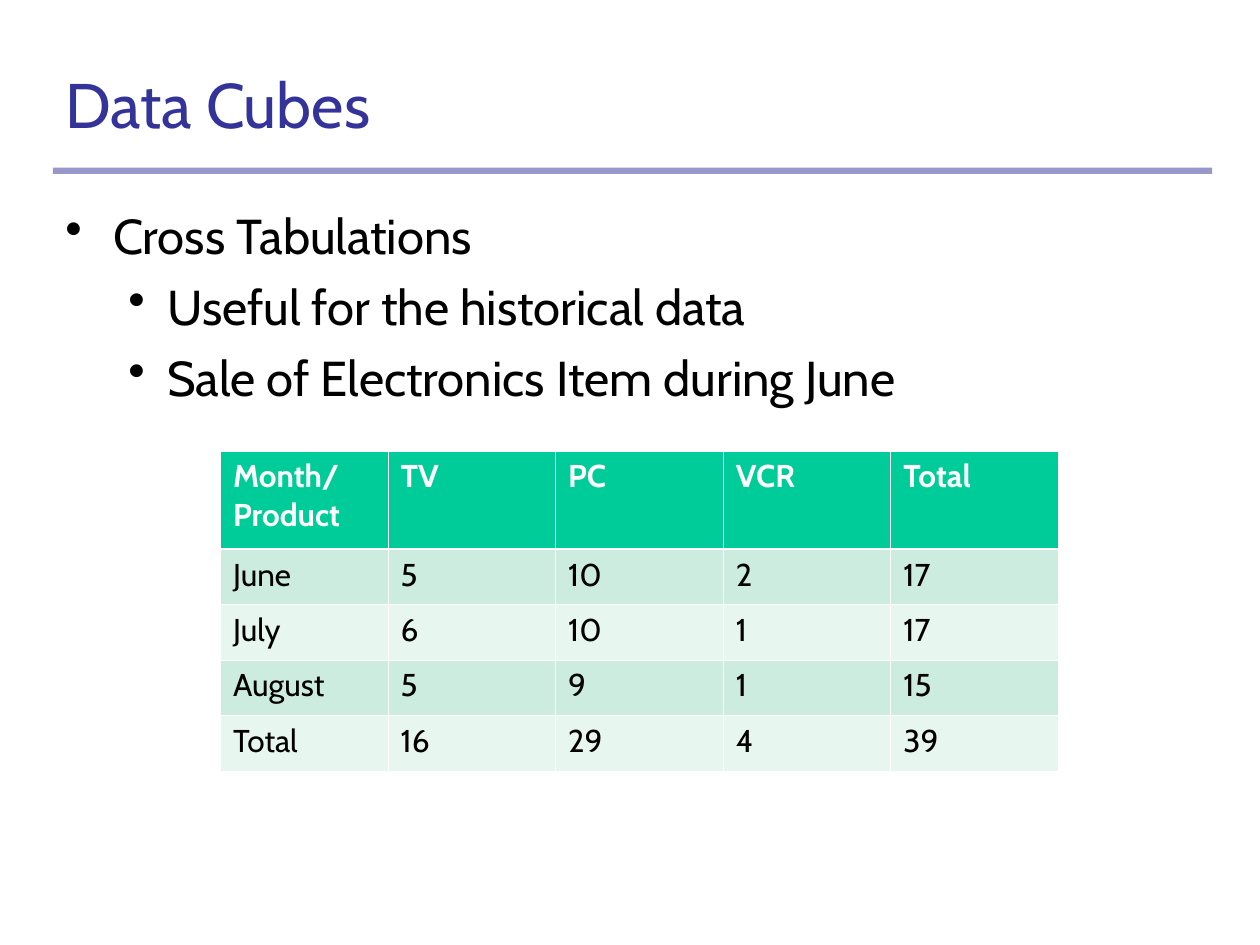
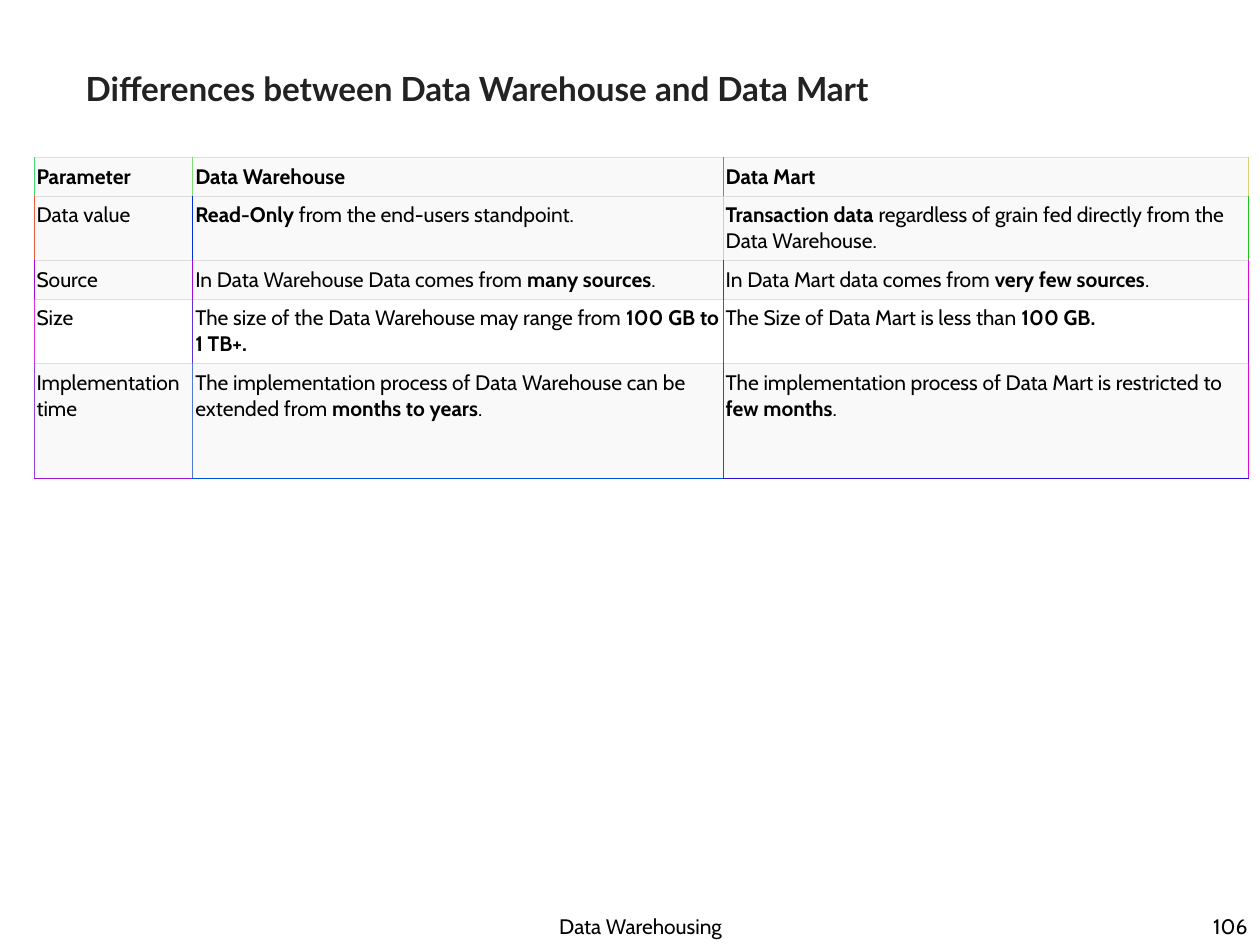
from lxml.etree import SubElement
from pptx import Presentation
from pptx.dml.color import RGBColor
from pptx.enum.shapes import MSO_SHAPE
from pptx.enum.text import MSO_ANCHOR, MSO_AUTO_SIZE, PP_ALIGN
from pptx.oxml.ns import qn
from pptx.util import Inches, Pt

BLACK, WHITE, NAVY = "000000", "FFFFFF", "333399"
GREEN, MINT, PALE_MINT = "00CC99", "CBECDE", "E7F6EF"
GREY, PALE_GREY, CHARCOAL = "DDDDDD", "F9F9F9", "222222"
THIN, THINNER, THICK = 0.45, 0.34, 1.47

SALES = [
    ["Month/Product", "TV", "PC", "VCR", "Total"],
    ["June", "5", "10", "2", "17"],
    ["July", "6", "10", "1", "17"],
    ["August", "5", "9", "1", "15"],
    ["Total", "16", "29", "4", "39"],
]

# Double asterisks enclose bold words.
DIFFERENCES = [
    ["**Parameter**", "**Data Warehouse**", "**Data Mart**"],
    ["Data value", "**Read-Only** from the end-users standpoint.",
     "**Transaction data **regardless of grain fed directly from the Data Warehouse."],
    ["Source", "In Data Warehouse Data comes from **many sources**.",
     "In Data Mart data comes from **very few sources**."],
    ["Size", "The size of the Data Warehouse may range from **100 GB to 1 TB+.**",
     "The Size of Data Mart is less than **100 GB.**"],
    ["Implementation time",
     "The implementation process of Data Warehouse can be extended from **months to years**.",
     "The implementation process of Data Mart is restricted to **few months**."],
]
# Colours of the vertical rules, left to right, for each row.
VERTICAL_RULES = [
    ["40D976", "80DC76", "A06EB7", "E0CD76"],
    ["F05C38", "002FD9", "E0CC9F", "20C41A"],
    ["A008D9", "A00BD9", "6024D8", "E009D9"],
    ["E02ED8", "6031D8", "8035D8", "A00BD9"],
    ["A03ED8", "5077D4", "A00BD9", "E009D9"],
]
BOTTOM_RULES = ["A015D9", "004FD8", "200ED9"]


def color(value):
    return RGBColor.from_string(value)


def apply(target, values):
    for name, value in values.items():
        setattr(target, name, value)


def add_solid_fill(parent, value):
    fill = SubElement(parent, qn("a:solidFill"))
    SubElement(fill, qn("a:srgbClr"), val=value)


class DeckBuilder:
    font = "Cabin"

    def __init__(self):
        self.deck = Presentation()
        apply(self.deck, {"slide_width": Inches(10), "slide_height": Inches(7.5)})
        self.layout = self.deck.slide_layouts.get_by_name("Title Only")
        self.page = None

    def add_page(self):
        self.page = self.deck.slides.add_slide(self.layout)

    def add_shared_band(self):
        """Place the half-transparent band on the layout that all pages use."""
        band = self.page.shapes.add_shape(
            MSO_SHAPE.RECTANGLE, *map(Inches, (0.42, 1.33, 9.2, 0.05)))
        band.shadow.inherit = False
        band.fill.solid()
        band.fill.fore_color.rgb = color(NAVY)
        band.line.fill.background()
        shade = band.element.spPr.find(".//" + qn("a:srgbClr"))
        SubElement(shade, qn("a:alpha"), val="50000")
        band.element.nvSpPr.cNvPr.set("id", "20")
        self.layout.shapes.element.append(band.element)

    def add_text(self, paragraph, text, size, ink=BLACK, bold=False, font=None):
        """Add spans to the paragraph, bold between double asterisks."""
        for index, part in enumerate(text.split("**")):
            if part:
                span = paragraph.add_run()
                span.text = part
                apply(span.font, {"name": font or self.font, "size": Pt(size),
                                  "bold": bold or index % 2 == 1})
                span.font.color.rgb = color(ink)

    def set_frame(self, frame, anchor):
        apply(frame, {"word_wrap": True, "auto_size": MSO_AUTO_SIZE.NONE,
                      "vertical_anchor": anchor,
                      "margin_left": Inches(0.1), "margin_right": Inches(0.1),
                      "margin_top": Inches(0.05), "margin_bottom": Inches(0.05)})

    def add_title(self, text, place, size, ink, anchor=MSO_ANCHOR.BOTTOM, fill=None, **style):
        title = self.page.shapes.title
        apply(title, dict(zip(("left", "top", "width", "height"), map(Inches, place))))
        self.set_frame(title.text_frame, anchor)
        paragraph = title.text_frame.paragraphs[0]
        paragraph.alignment = PP_ALIGN.LEFT
        self.add_text(paragraph, text, size, ink, **style)
        if fill:
            title.fill.solid()
            title.fill.fore_color.rgb = color(fill)

    def add_box(self, place, anchor):
        box = self.page.shapes.add_textbox(*map(Inches, place))
        self.set_frame(box.text_frame, anchor)
        return box.text_frame

    def add_footer(self, text, place, alignment):
        paragraph = self.add_box(place, MSO_ANCHOR.BOTTOM).paragraphs[0]
        paragraph.alignment = alignment
        self.add_text(paragraph, text, 12)

    def add_bullets(self, items, place):
        frame = self.add_box(place, MSO_ANCHOR.TOP)
        for index, (level, text) in enumerate(items):
            para = frame.add_paragraph() if index else frame.paragraphs[0]
            apply(para, {"level": level, "space_before": Pt(7 if index else 0)})
            margin, hanging = [(0.38, 0.38), (0.81, 0.31)][level]
            properties = para._p.get_or_add_pPr()
            properties.set("marL", str(Inches(margin)))
            properties.set("indent", str(-Inches(hanging)))
            bullet_color = SubElement(properties, qn("a:buClr"))
            SubElement(bullet_color, qn("a:srgbClr"), val=BLACK)
            SubElement(properties, qn("a:buChar"), char="•")
            self.add_text(para, text, 28)

    def add_table(self, rows, corner, widths, heights, look):
        """Draw a table; look(row, column) gives fill, borders, margin, spacing, text style."""
        place = (*corner, sum(widths), sum(heights))
        table = self.page.shapes.add_table(
            len(rows), len(widths), *map(Inches, place)).table
        for column, width in zip(table.columns, widths):
            column.width = Inches(width)
        for row, height in zip(table.rows, heights):
            row.height = Inches(height)
        for r, texts in enumerate(rows):
            for c, text in enumerate(texts):
                fill, borders, margin, spacing, style = look(r, c)
                cell = table.cell(r, c)
                apply(cell, {"margin_left": Inches(margin), "margin_right": Inches(margin),
                             "margin_top": Inches(0.05), "margin_bottom": Inches(0.05)})
                self.add_borders(cell, borders)
                cell.fill.solid()
                cell.fill.fore_color.rgb = color(fill)
                paragraph = cell.text_frame.paragraphs[0]
                paragraph.line_spacing = spacing
                self.add_text(paragraph, text, **style)

    def add_borders(self, cell, borders):
        """Take (colour, points) for the left, right, top and bottom edges."""
        properties = cell._tc.get_or_add_tcPr()
        for side, (value, width) in zip("LRTB", borders):
            line = SubElement(properties, qn("a:ln" + side), w=str(Pt(width)))
            add_solid_fill(line, value)


def sales_look(row, column):
    fill = GREEN if row == 0 else MINT if row % 2 else PALE_MINT
    side = (WHITE, THIN)
    top = (WHITE, THICK if row == 1 else THIN)
    bottom = (WHITE, THICK if row == 0 else THIN)
    style = {"size": 18, "ink": BLACK if row else WHITE, "bold": row == 0}
    return fill, (side, side, top, bottom), 0.1, 1.0, style


def differences_look(row, column):
    left, right = [(value, THIN) for value in VERTICAL_RULES[row][column:column + 2]]
    top = (GREY, THINNER)
    is_last = row == len(DIFFERENCES) - 1
    bottom = (BOTTOM_RULES[column], THIN) if is_last else top
    fill = WHITE if row == 3 else PALE_GREY
    return fill, (left, right, top, bottom), 0.02, 1.01, {"size": 12}


def build_data_cubes(builder):
    builder.add_page()
    builder.add_shared_band()
    builder.add_title("Data Cubes", (0.42, 0.42, 9.16, 0.75), 36, NAVY)
    builder.add_bullets([(0, "Cross Tabulations"),
                         (1, "Useful for the historical data"),
                         (1, "Sale of Electronics Item during June")],
                        (0.42, 1.58, 9.16, 5.5))
    builder.add_table(SALES, (1.75, 3.58), [1.33] * 5, [0.78] + [0.44] * 4, sales_look)


def build_differences(builder):
    builder.add_page()
    builder.add_title("Differences between Data Warehouse and Data Mart",
                      (0.58, 0.49, 7.5, 0.42), 19, CHARCOAL,
                      anchor=MSO_ANCHOR.MIDDLE, fill=WHITE, bold=True, font="Lato")
    builder.add_table(DIFFERENCES, (0.27, 1.25), [1.26, 4.21, 4.17],
                      [0.25, 0.45, 0.27, 0.45, 0.91], differences_look)
    builder.add_footer("Data Warehousing", (3.5, 6.92, 3.17, 0.58), PP_ALIGN.CENTER)
    builder.add_footer("106", (7.92, 7, 2.08, 0.5), PP_ALIGN.RIGHT)


def main():
    builder = DeckBuilder()
    build_data_cubes(builder)
    build_differences(builder)
    builder.deck.save("out.pptx")


if __name__ == "__main__":
    main()
